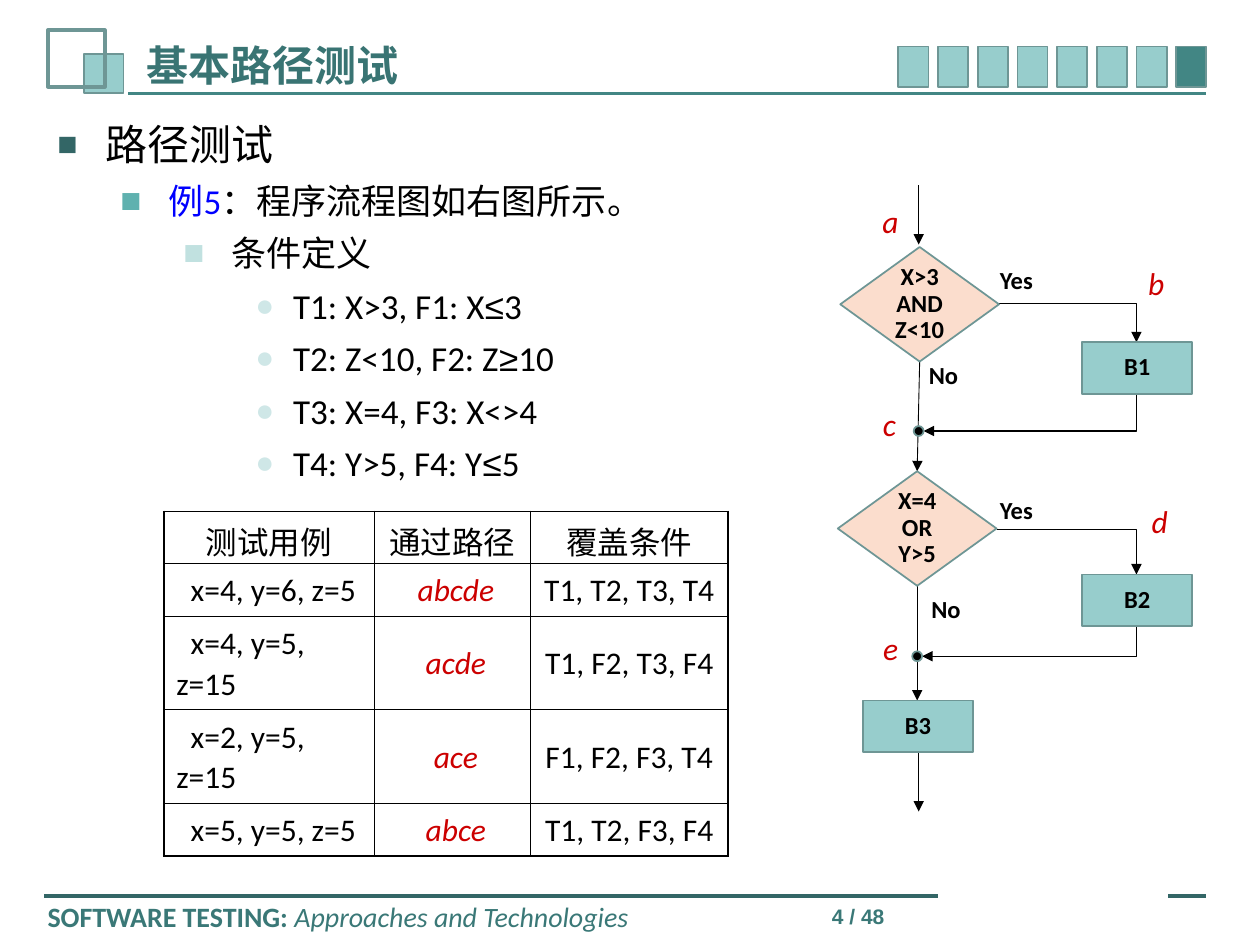
from typing import NamedTuple

import pptx
import pptx.dml.color
import pptx.enum.shapes
import pptx.enum.text
import pptx.oxml
import pptx.oxml.ns
import pptx.util

Cm, Pt = pptx.util.Cm, pptx.util.Pt
Kind = pptx.enum.shapes.MSO_SHAPE
Align = pptx.enum.text.PP_ALIGN
Anchor = pptx.enum.text.MSO_ANCHOR
AutoSize = pptx.enum.text.MSO_AUTO_SIZE
COLORS = {
    "black": "000000", "red": "CC0000", "blue": "0000FF", "title": "397473",
    "footer": "3A7877", "rule": "336666", "dark": "428684", "pale": "97CDCC",
    "edge": "6E9695", "decision": "FBDDCD",
    "bullet1": "336666", "bullet2": "5FB1AF", "bullet3": "C1E1E0", "bullet4": "CFE7E7",
}


class Place(NamedTuple):
    """Left, top, width and height in centimetres."""
    left: float
    top: float
    width: float
    height: float


class Node(NamedTuple):
    kind: int
    place: Place
    fill: str
    text: str = ""


class Label(NamedTuple):
    text: str
    place: Place


class Arrow(NamedTuple):
    x1: float
    y1: float
    x2: float
    y2: float
    width: float = 0.75


class Level(NamedTuple):
    margin: float
    hanging: float
    bullet: str
    bullet_color: str
    bullet_size: int
    size: float


class Item(NamedTuple):
    level: Level
    text: str
    blue: str = ""


TOPIC = Level(0.97, 0.97, "■", "bullet1", 80, 24)
EXAMPLE = Level(2.24, 0.97, "■", "bullet2", 100, 20)
HEADING = Level(3.51, 0.97, "■", "bullet3", 100, 20)
CONDITION = Level(4.75, 0.76, "●", "bullet4", 90, 20)
ITEMS = [
    Item(TOPIC, "路径测试"),
    Item(EXAMPLE, "：程序流程图如右图所示。", "例5"),
    Item(HEADING, "条件定义"),
    Item(CONDITION, "T1: X>3, F1: X≤3"),
    Item(CONDITION, "T2: Z<10, F2: Z≥10"),
    Item(CONDITION, "T3: X=4, F3: X<>4"),
    Item(CONDITION, "T4: Y>5, F4: Y≤5"),
]
CASES = [
    ("测试用例", "通过路径", "覆盖条件"),
    ("x=4, y=6, z=5", "abcde", "T1, T2, T3, T4"),
    ("x=4, y=5, z=15", "acde", "T1, F2, T3, F4"),
    ("x=2, y=5, z=15", "ace", "F1, F2, F3, T4"),
    ("x=5, y=5, z=5", "abce", "T1, T2, F3, F4"),
]
NODES = [
    Node(Kind.FLOWCHART_DECISION, Place(16.94, 4.98, 3.2, 2.31), "decision", "X>3\nAND\nZ<10"),
    Node(Kind.FLOWCHART_DECISION, Place(16.89, 9.5, 3.2, 2.31), "decision", "X=4\nOR\nY>5"),
    Node(Kind.FLOWCHART_PROCESS, Place(21.82, 6.9, 2.21, 1.04), "pale", "B1"),
    Node(Kind.FLOWCHART_PROCESS, Place(21.82, 11.58, 2.21, 1.04), "pale", "B2"),
    Node(Kind.FLOWCHART_PROCESS, Place(17.4, 14.12, 2.21, 1.04), "pale", "B3"),
    Node(Kind.OVAL, Place(18.42, 8.59, 0.2, 0.2), "black"),
    Node(Kind.OVAL, Place(18.39, 13.13, 0.2, 0.2), "black"),
]
EDGE_LABELS = [
    Label("a", Place(17.53, 4.04, 0.84, 0.94)),
    Label("b", Place(22.89, 5.28, 0.84, 0.94)),
    Label("c", Place(17.55, 8.13, 0.76, 0.94)),
    Label("d", Place(22.96, 10.08, 0.84, 0.94)),
    Label("e", Place(17.55, 12.65, 0.81, 0.94)),
]
BRANCH_LABELS = [
    Label("Yes", Place(19.69, 5.28, 1.6, 0.79)),
    Label("No", Place(18.27, 7.21, 1.5, 0.79)),
    Label("Yes", Place(19.69, 9.93, 1.6, 0.79)),
    Label("No", Place(18.32, 11.91, 1.5, 0.79)),
]
STRAIGHT = [
    Arrow(18.52, 3.73, 18.52, 4.93),
    Arrow(18.54, 7.26, 18.49, 9.5, 0.5),
    Arrow(18.49, 11.81, 18.49, 14.12, 0.5),
    Arrow(18.52, 15.16, 18.52, 16.36),
]
BRANCHES = [Arrow(20.14, 6.12, 22.91, 6.9), Arrow(20.09, 10.67, 22.91, 11.58)]
RETURNS = [Arrow(22.91, 7.94, 18.62, 8.69), Arrow(22.91, 12.62, 18.59, 13.23, 0.5)]


def rgb(name: str):
    return pptx.dml.color.RGBColor.from_string(COLORS[name])


def lengths(place: Place) -> list:
    return [Cm(value) for value in place]


def element(tag: str, attributes: str = "", content: str = ""):
    return pptx.oxml.parse_xml(
        f"<a:{tag} {pptx.oxml.ns.nsdecls('a')} {attributes}>{content}</a:{tag}>")


def style(font, size: float, color: str, bold=False, italic=False, name="Calibri") -> None:
    font.name, font.size, font.bold, font.italic = name, Pt(size), bold, italic
    font.color.rgb = rgb(color)


def add_text(page, label: Label, size: float, color: str, bold=False, italic=False,
             wrap=False, align=Align.CENTER, spacing=0.9, name="Calibri"):
    frame = page.shapes.add_textbox(*lengths(label.place)).text_frame
    frame.word_wrap, frame.auto_size = wrap, AutoSize.NONE
    frame.text = label.text
    para = frame.paragraphs[0]
    para.alignment, para.line_spacing = align, spacing
    style(para.runs[0].font, size, color, bold, italic, name)
    return para


def add_node(page, node: Node, line_width=1.0) -> None:
    shape = page.shapes.add_shape(node.kind, *lengths(node.place))
    shape.shadow.inherit = False
    if node.fill:
        shape.fill.solid()
        shape.fill.fore_color.rgb = rgb(node.fill)
    else:
        shape.fill.background()
    shape.line.color.rgb, shape.line.width = rgb("edge"), Pt(line_width)
    if node.text:
        frame = shape.text_frame
        frame.text, frame.vertical_anchor = node.text, Anchor.MIDDLE
        for para in frame.paragraphs:
            para.alignment, para.line_spacing = Align.CENTER, 0.9
            style(para.runs[0].font, 14, "black", bold=True)


def add_line(page, route: Arrow, color="black", head=True):
    line = page.shapes.add_connector(
        pptx.enum.shapes.MSO_CONNECTOR.STRAIGHT,
        Cm(route.x1), Cm(route.y1), Cm(route.x2), Cm(route.y2))
    line.line.color.rgb, line.line.width = rgb(color), Pt(route.width)
    properties = line._element.spPr
    if head:
        properties.find(pptx.oxml.ns.qn("a:ln")).append(element("tailEnd", 'type="triangle"'))
    properties.append(element("effectLst"))
    return line


def add_bent(page, route: Arrow, down_first: bool) -> None:
    """Draw a one-corner arrow: right then down, or down then left."""
    line = add_line(page, route)
    properties = line._element.spPr
    properties.find(pptx.oxml.ns.qn("a:prstGeom")).set("prst", "bentConnector2")
    if down_first:
        width, height = route.y2 - route.y1, route.x1 - route.x2
        transform = properties.find(pptx.oxml.ns.qn("a:xfrm"))
        transform.attrib.pop("flipH", None)
        transform.set("rot", "5400000")
        line.left = Cm((route.x1 + route.x2 - width) / 2)
        line.top = Cm((route.y1 + route.y2 - height) / 2)
        line.width, line.height = Cm(width), Cm(height)


def add_items(page) -> None:
    frame = page.shapes.add_textbox(*lengths(Place(0.91, 2.01, 23.6, 7.95))).text_frame
    frame.word_wrap = True
    for index, item in enumerate(ITEMS):
        para = frame.add_paragraph() if index else frame.paragraphs[0]
        level = item.level
        para.line_spacing = 1.25
        properties = para._p.get_or_add_pPr()
        properties.set("marL", str(Cm(level.margin)))
        properties.set("indent", str(-Cm(level.hanging)))
        properties.extend([
            element("buClr", content=f'<a:srgbClr val="{COLORS[level.bullet_color]}"/>'),
            element("buSzPct", f'val="{level.bullet_size * 1000}"'),
            element("buFont", 'typeface="Arial"'),
            element("buChar", f'char="{level.bullet}"'),
        ])
        spaced = item.text.replace("≤", "|≤|").replace("≥", "|≥|")
        for part in filter(None, [item.blue, *spaced.split("|")]):
            span = para.add_run()
            span.text = part
            style(span.font, level.size, "blue" if part == item.blue else "black",
                  name="Arial" if part in "≤≥" else "Calibri")


def add_cases(page) -> None:
    widths = (4.24, 3.15, 3.99)
    indents = (0.29, 0.15, 0)
    place = Place(3.3, 10.31, sum(widths), 1.05 * len(CASES))
    table = page.shapes.add_table(len(CASES), len(widths), *lengths(place)).table
    table.first_row = table.horz_banding = False
    for column, width in zip(table.columns, widths):
        column.width = Cm(width)
    for r, row in enumerate(CASES):
        for c, text in enumerate(row):
            cell = table.cell(r, c)
            cell.text, cell.vertical_anchor = text, Anchor.MIDDLE
            cell.fill.background()
            para = cell.text_frame.paragraphs[0]
            para.line_spacing = 1.05
            para.alignment = Align.LEFT if r and c == 0 else Align.CENTER
            if r:
                para._p.get_or_add_pPr().set("indent", str(Cm(indents[c])))
            else:
                cell.margin_top, cell.margin_bottom = Cm(0.07), Cm(0)
            path_cell = r > 0 and c == 1
            style(para.runs[0].font, 18, "red" if path_cell else "black", italic=path_cell)
            outer = {"L": c == 0, "R": c == len(widths) - 1, "T": r == 0, "B": r == len(CASES) - 1}
            for index, (side, thick) in enumerate(outer.items()):
                cell._tc.get_or_add_tcPr().insert(index, element(
                    f"ln{side}", f'w="{Pt(1.08 if thick else 0.45)}"',
                    f'<a:solidFill><a:srgbClr val="{COLORS["black"]}"/></a:solidFill>'))


def add_frame(page) -> None:
    """Draw the title, its ornaments and the footer."""
    add_line(page, Arrow(2.59, 1.88, 24.31, 1.88, 1.5), "dark", head=False)
    for left, right in ((0.89, 18.9), (23.55, 24.31)):
        add_line(page, Arrow(left, 18.06, right, 18.06, 2.25), "rule", head=False)
    add_node(page, Node(Kind.RECTANGLE, Place(1.7, 1.09, 0.79, 0.79), "pale"))
    add_node(page, Node(Kind.RECTANGLE, Place(0.97, 0.61, 1.14, 1.14), ""), 2.25)
    for index in range(8):
        fill = "dark" if index == 7 else "pale"
        add_node(page, Node(Kind.RECTANGLE, Place(18.11 + 0.8 * index, 0.94, 0.61, 0.81), fill))
    title = page.shapes.title
    title.left, title.top, title.width, title.height = lengths(Place(2.69, 0.66, 15.19, 1.24))
    frame = title.text_frame
    frame.text, frame.vertical_anchor, frame.auto_size = "基本路径测试", Anchor.TOP, AutoSize.NONE
    frame.paragraphs[0].alignment = Align.LEFT
    style(frame.paragraphs[0].runs[0].font, 24, "title", bold=True)
    footer = add_text(page, Label("SOFTWARE TESTING:", Place(0.71, 18.01, 13, 0.94)), 16,
                      "footer", bold=True, wrap=True, align=Align.LEFT, spacing=1.0)
    span = footer.add_run()
    span.text = " Approaches and Technologies"
    style(span.font, 16, "footer", italic=True)
    add_text(page, Label("4 / 48", Place(15.49, 18.08, 2.59, 0.61)), 12, "footer", bold=True,
             wrap=True, align=Align.RIGHT, spacing=1.0, name="Arial")


def main() -> None:
    deck = pptx.Presentation()
    deck.slide_width, deck.slide_height = Cm(25.4), Cm(19.05)
    page = deck.slides.add_slide(deck.slide_layouts[5])
    add_frame(page)
    add_cases(page)
    add_items(page)
    for route in STRAIGHT:
        add_line(page, route)
    for down_first, routes in ((False, BRANCHES), (True, RETURNS)):
        for route in routes:
            add_bent(page, route, down_first)
    for node in NODES:
        add_node(page, node)
    for label in EDGE_LABELS:
        add_text(page, label, 18, "red", italic=True)
    for label in BRANCH_LABELS:
        add_text(page, label, 14, "black", bold=True)
    deck.save("out.pptx")


if __name__ == "__main__":
    main()
